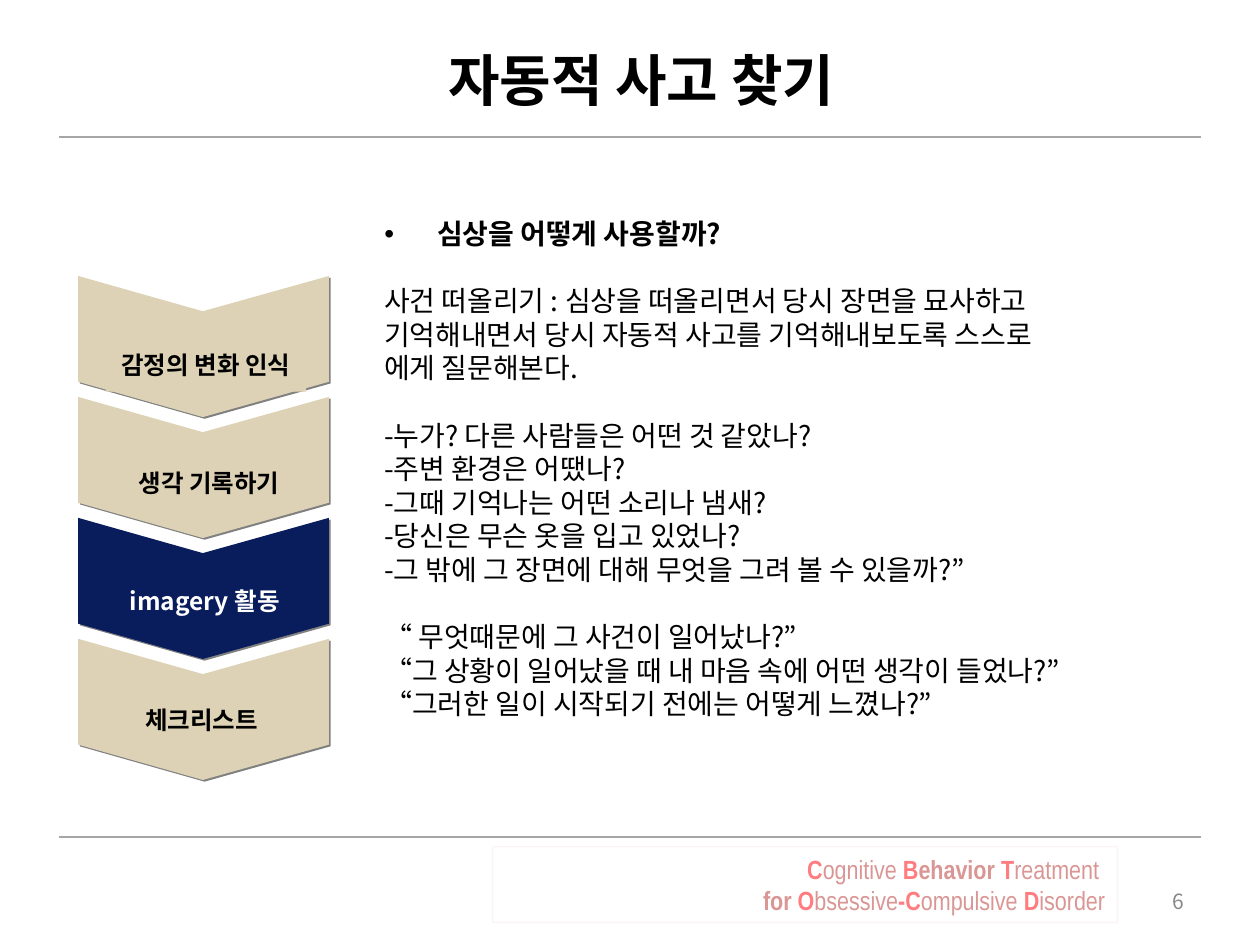
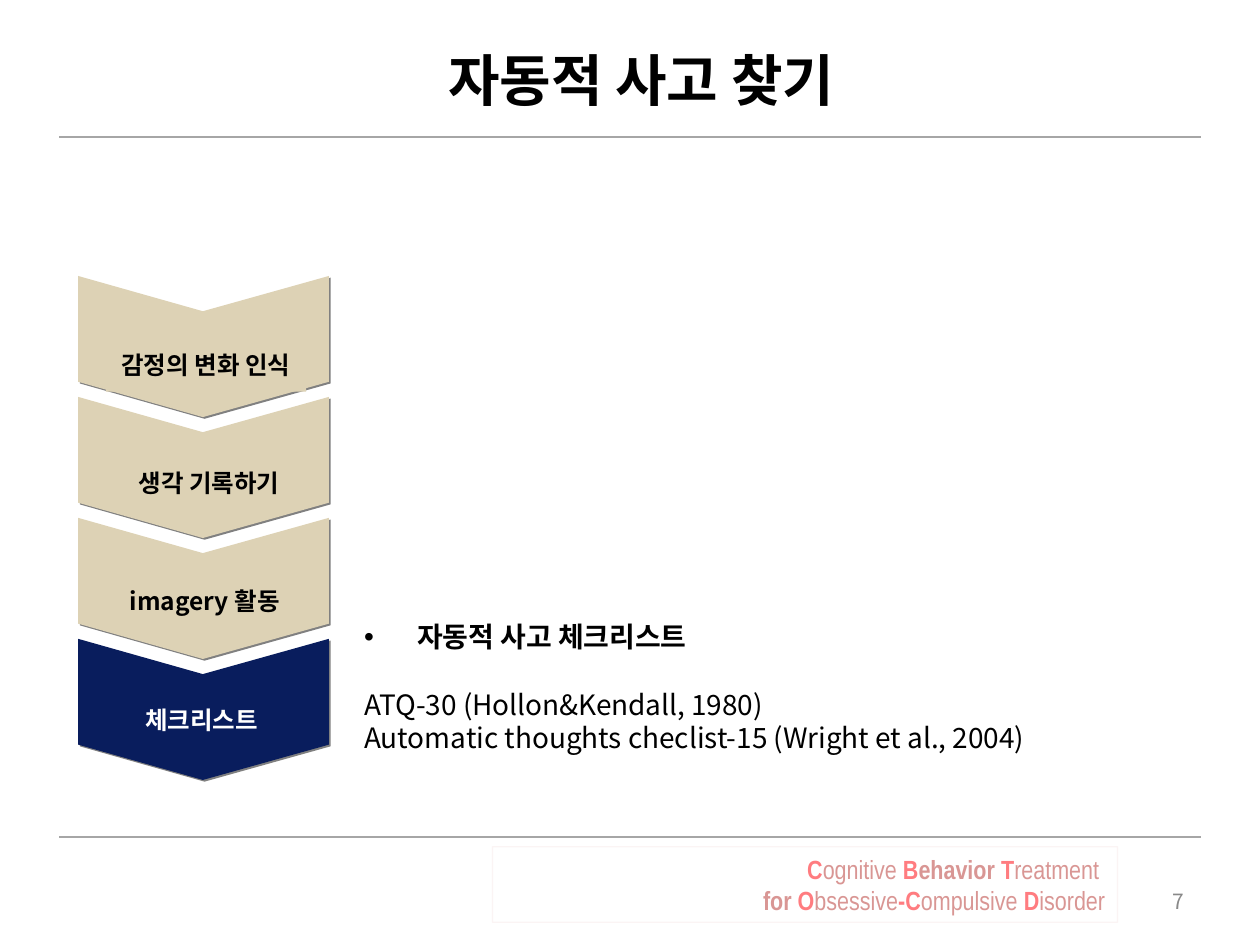
from dataclasses import dataclass

from lxml.etree import SubElement
from pptx import Presentation
from pptx.dml.color import RGBColor
from pptx.enum.shapes import MSO_CONNECTOR, MSO_SHAPE
from pptx.enum.text import MSO_ANCHOR, MSO_AUTO_SIZE, PP_ALIGN
from pptx.oxml.ns import qn
from pptx.shapes.base import BaseShape
from pptx.slide import Slide
from pptx.text.text import TextFrame, _Paragraph as Paragraph
from pptx.util import Inches, Pt

BLACK = RGBColor(0x00, 0x00, 0x00)
WHITE = RGBColor(0xFF, 0xFF, 0xFF)
SAND = RGBColor(0xDD, 0xD2, 0xB5)
NAVY = RGBColor(0x09, 0x1D, 0x5D)
RULE_GRAY = RGBColor(0xA6, 0xA6, 0xA6)
NUMBER_GRAY = RGBColor(0x89, 0x89, 0x89)
ROSE = RGBColor(0xD9, 0x96, 0x94)
CORAL = RGBColor(0xFF, 0x7C, 0x80)

KOREAN_FONT = "Noto Sans CJK KR"
FOOTER_FONT = "Arial Narrow"
BODY_LINE = Pt(19.2)
BULLET_INDENT = Inches(0.42)

# Chevron column
CHEVRON_LEFT, CHEVRON_MIDDLE, CHEVRON_RIGHT = Inches(0.62), Inches(1.61), Inches(2.61)
CHEVRON_TOP, CHEVRON_PITCH = Inches(2.19), Inches(0.96)
CHEVRON_SIDE, CHEVRON_NOTCH = Inches(0.84), Inches(0.28)
LABEL_TOP, LABEL_PITCH, LABEL_HEIGHT = Inches(2.65), Inches(0.94), Inches(0.46)


@dataclass(frozen=True)
class Step:
    text: str
    left: float
    width: float


@dataclass(frozen=True)
class FooterRun:
    text: str
    color: RGBColor
    bold: bool


@dataclass(frozen=True)
class Page:
    number: int
    active_step: int
    body_box: tuple[float, float, float, float]
    heading: str
    blocks: list[list[str]]


TITLE = "자동적 사고 찾기"
STEPS = [
    Step("감정의 변화 인식", 0.84, 1.59),
    Step("생각 기록하기", 0.98, 1.36),
    Step("imagery 활동", 0.88, 1.49),
    Step("체크리스트", 1.04, 1.12),
]
FOOTER_LINES = [
    [
        FooterRun("C", CORAL, True),
        FooterRun("ognitive", ROSE, False),
        FooterRun(" B", CORAL, True),
        FooterRun("ehavior", ROSE, True),
        FooterRun(" T", CORAL, True),
        FooterRun("reatment ", ROSE, False),
    ],
    [
        FooterRun("for", ROSE, True),
        FooterRun(" O", CORAL, True),
        FooterRun("bsessive", ROSE, False),
        FooterRun("-C", CORAL, True),
        FooterRun("ompulsive", ROSE, False),
        FooterRun(" D", CORAL, True),
        FooterRun("isorder", ROSE, False),
    ],
]
PAGES = [
    Page(6, 2, (3.05, 1.72, 6.02, 4.57), "심상을 어떻게 사용할까?", [
        [
            "사건 떠올리기 : 심상을 떠올리면서 당시 장면을 묘사하고",
            "기억해내면서 당시 자동적 사고를 기억해내보도록 스스로",
            "에게 질문해본다.",
        ],
        [
            "-누가? 다른 사람들은 어떤 것 같았나?",
            "-주변 환경은 어땠나?",
            "-그때 기억나는 어떤 소리나 냄새?",
            "-당신은 무슨 옷을 입고 있었나?",
            "-그 밖에 그 장면에 대해 무엇을 그려 볼 수 있을까?”",
        ],
        [
            "“ 무엇때문에 그 사건이 일어났나?”",
            "“그 상황이 일어났을 때 내 마음 속에 어떤 생각이 들었나?”",
            "“그러한 일이 시작되기 전에는 어떻게 느꼈나?”",
        ],
    ]),
    Page(7, 3, (2.89, 4.92, 6.02, 1.6), "자동적 사고 체크리스트", [
        [
            "ATQ-30 (Hollon&Kendall, 1980)",
            "Automatic thoughts checlist-15 (Wright et al., 2004)",
        ],
    ]),
]


def add_run(paragraph: Paragraph, text: str, size: float, color: RGBColor,
            bold: bool = False, font_name: str = KOREAN_FONT) -> None:
    run = paragraph.add_run()
    run.text = text
    run.font.size = Pt(size)
    run.font.bold = bold
    run.font.color.rgb = color
    run.font.name = font_name
    SubElement(run.font._element, qn("a:ea"), typeface=font_name)


def set_margins(frame: TextFrame, horizontal: float, vertical: float) -> None:
    frame.margin_left = frame.margin_right = Inches(horizontal)
    frame.margin_top = frame.margin_bottom = Inches(vertical)


def add_text_line(slide: Slide, box: tuple[float, float, float, float], text: str,
                  size: float, color: RGBColor, bold: bool, alignment: PP_ALIGN) -> None:
    frame = slide.shapes.add_textbox(*map(Inches, box)).text_frame
    frame.word_wrap = True
    frame.vertical_anchor = MSO_ANCHOR.MIDDLE
    set_margins(frame, 0.1, 0.05)
    frame.paragraphs[0].alignment = alignment
    add_run(frame.paragraphs[0], text, size, color, bold)


def add_bullet(paragraph: Paragraph) -> None:
    properties = paragraph._p.get_or_add_pPr()
    properties.set("marL", str(BULLET_INDENT))
    properties.set("indent", str(-BULLET_INDENT))
    bullet_color = SubElement(properties, qn("a:buClr"))
    SubElement(bullet_color, qn("a:srgbClr"), val=str(BLACK))
    SubElement(properties, qn("a:buFont"), typeface="Arial")
    SubElement(properties, qn("a:buChar"), char="•")


def add_body(slide: Slide, page: Page) -> None:
    frame = slide.shapes.add_textbox(*map(Inches, page.body_box)).text_frame
    frame.word_wrap = True
    set_margins(frame, 0, 0)
    heading = frame.paragraphs[0]
    add_bullet(heading)
    heading.line_spacing = BODY_LINE
    add_run(heading, page.heading, 16, BLACK, bold=True)
    for block in page.blocks:
        for index, line in enumerate(block):
            paragraph = frame.add_paragraph()
            paragraph.line_spacing = BODY_LINE
            if index == 0:
                paragraph.space_before = BODY_LINE
            add_run(paragraph, line, 16, BLACK)


def add_hard_shadow(shape: BaseShape) -> None:
    effects = SubElement(shape._element.spPr, qn("a:effectLst"))
    shadow = SubElement(effects, qn("a:outerShdw"), blurRad="0", dist=str(Pt(1.4)),
                        dir="2700000", algn="ctr", rotWithShape="0")
    SubElement(shadow, qn("a:srgbClr"), val="808080")


def add_chevron(slide: Slide, top: int, color: RGBColor) -> None:
    bottom = top + CHEVRON_SIDE
    builder = slide.shapes.build_freeform(CHEVRON_RIGHT, top)
    builder.add_line_segments([
        (CHEVRON_RIGHT, bottom),
        (CHEVRON_MIDDLE, bottom + CHEVRON_NOTCH),
        (CHEVRON_LEFT, bottom),
        (CHEVRON_LEFT, top),
        (CHEVRON_MIDDLE, top + CHEVRON_NOTCH),
    ], close=True)
    chevron = builder.convert_to_shape()
    chevron.fill.solid()
    chevron.fill.fore_color.rgb = color
    chevron.line.fill.background()
    add_hard_shadow(chevron)


def add_step_label(slide: Slide, step: Step, top: int, fill: RGBColor,
                   color: RGBColor) -> None:
    label = slide.shapes.add_shape(MSO_SHAPE.RECTANGLE, Inches(step.left), top,
                                   Inches(step.width), LABEL_HEIGHT)
    label.shadow.inherit = False
    label.fill.solid()
    label.fill.fore_color.rgb = fill
    label.line.fill.background()
    frame = label.text_frame
    frame.word_wrap = False
    frame.vertical_anchor = MSO_ANCHOR.MIDDLE
    set_margins(frame, 0.1, 0.1)
    frame.paragraphs[0].alignment = PP_ALIGN.CENTER
    frame.paragraphs[0].line_spacing = 1.1
    add_run(frame.paragraphs[0], step.text, 14, color, bold=True)


def add_steps(slide: Slide, active_step: int) -> None:
    fills = [NAVY if index == active_step else SAND for index in range(len(STEPS))]
    for index, fill in enumerate(fills):
        add_chevron(slide, CHEVRON_TOP + index * CHEVRON_PITCH, fill)
    for index, (step, fill) in enumerate(zip(STEPS, fills)):
        add_step_label(slide, step, LABEL_TOP + index * LABEL_PITCH, fill,
                       WHITE if index == active_step else BLACK)


def add_rule(slide: Slide, top: float) -> None:
    rule = slide.shapes.add_connector(MSO_CONNECTOR.STRAIGHT, Inches(0.47), Inches(top),
                                      Inches(9.53), Inches(top))
    rule.line.color.rgb = RULE_GRAY
    rule.line.width = Pt(1.25)
    SubElement(rule._element.spPr, qn("a:effectLst"))


def add_footer(slide: Slide) -> None:
    footer = slide.shapes.add_shape(MSO_SHAPE.RECTANGLE, Inches(3.91), Inches(6.72),
                                    Inches(4.96), Inches(0.6))
    footer.shadow.inherit = False
    footer.fill.background()
    footer.line.color.rgb = ROSE
    footer.line.width = Pt(0.75)
    line_color = footer._element.spPr.find(".//" + qn("a:ln")).find(".//" + qn("a:srgbClr"))
    SubElement(line_color, qn("a:alpha"), val="10000")
    frame = footer.text_frame
    frame.word_wrap = True
    frame.auto_size = MSO_AUTO_SIZE.SHAPE_TO_FIT_TEXT
    frame.vertical_anchor = MSO_ANCHOR.TOP
    set_margins(frame, 0.1, 0.05)
    for index, line in enumerate(FOOTER_LINES):
        paragraph = frame.add_paragraph() if index else frame.paragraphs[0]
        paragraph.alignment = PP_ALIGN.RIGHT
        for part in line:
            add_run(paragraph, part.text, 15, part.color, part.bold, FOOTER_FONT)


def add_page(presentation: Presentation, page: Page) -> None:
    slide = presentation.slides.add_slide(presentation.slide_layouts[6])
    add_text_line(slide, (7.17, 6.95, 2.33, 0.4), str(page.number), 12, NUMBER_GRAY,
                  False, PP_ALIGN.RIGHT)
    add_body(slide, page)
    add_steps(slide, page.active_step)
    # Frame shared by every slide
    for top in (6.64, 1.09):
        add_rule(slide, top)
    add_footer(slide)
    add_text_line(slide, (1.09, 0.16, 8, 0.94), TITLE, 32, BLACK, True, PP_ALIGN.CENTER)


def main() -> None:
    presentation = Presentation()
    presentation.slide_width = Inches(10)
    presentation.slide_height = Inches(7.5)
    for page in PAGES:
        add_page(presentation, page)
    presentation.save("out.pptx")


if __name__ == "__main__":
    main()
